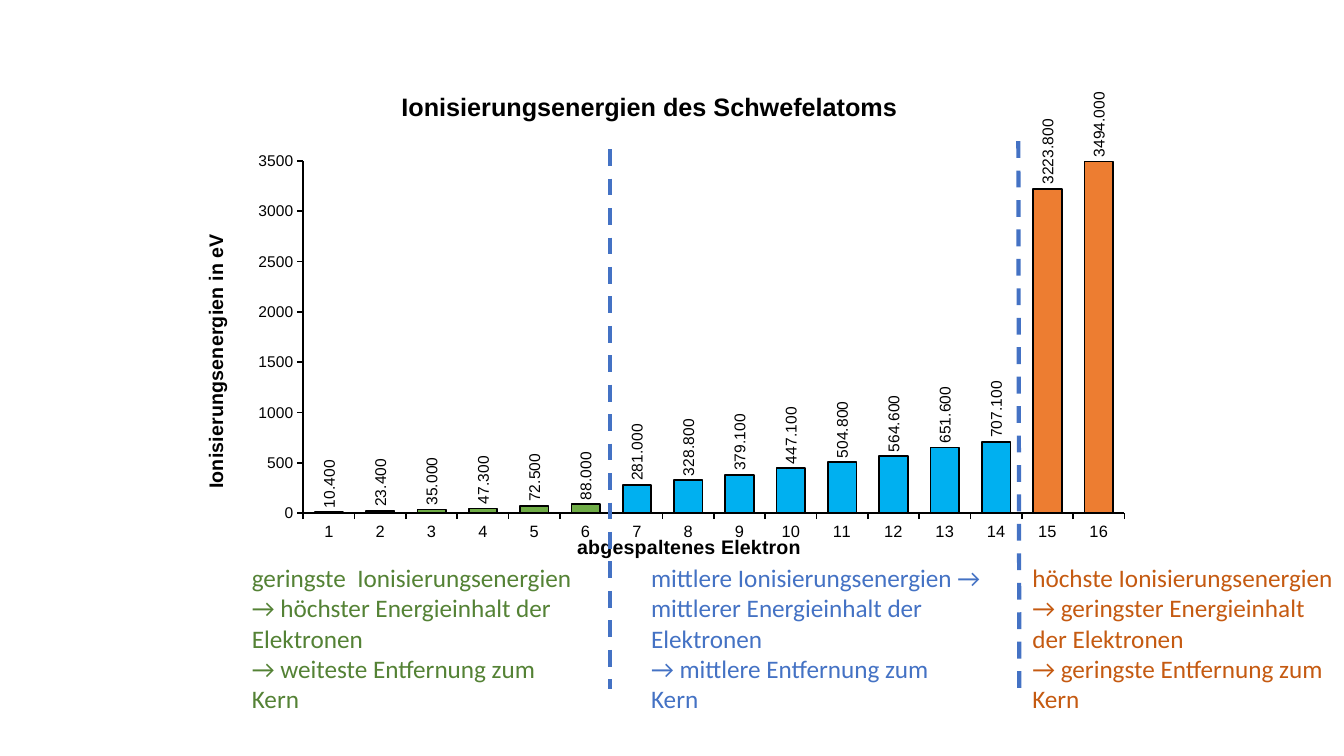
from pptx import Presentation
from pptx.chart.data import CategoryChartData
from pptx.dml.color import RGBColor
from pptx.enum.chart import XL_CHART_TYPE, XL_LABEL_POSITION, XL_TICK_MARK
from pptx.enum.dml import MSO_LINE
from pptx.enum.shapes import MSO_CONNECTOR
from pptx.enum.text import MSO_AUTO_SIZE
from pptx.oxml import parse_xml
from pptx.oxml.ns import nsdecls, qn
from pptx.util import Inches, Pt

COLUMNS = XL_CHART_TYPE.COLUMN_CLUSTERED
OUTSIDE_END = XL_LABEL_POSITION.OUTSIDE_END
TICK_OUT, TICK_NONE = XL_TICK_MARK.OUTSIDE, XL_TICK_MARK.NONE
DASH = MSO_LINE.DASH
STRAIGHT = MSO_CONNECTOR.STRAIGHT
GROW = MSO_AUTO_SIZE.SHAPE_TO_FIT_TEXT

COLORS = {
    "black": "000000", "grey": "969696",
    "low": "70AD47", "mid": "00B0F0", "high": "ED7D31",
    "low text": "548235", "mid text": "4472C4", "high text": "C55A11",
    "divider": "4472C4",
}
ENERGIES = [10.4, 23.4, 35, 47.3, 72.5, 88, 281, 328.8, 379.1, 447.1,
            504.8, 564.6, 651.6, 707.1, 3223.8, 3494]
# Point indexes of each shell; the first column keeps the series colour
SHELLS = {"low": range(1, 6), "mid": range(6, 14), "high": range(14, 16)}
NOTES = [
    (2.4, 3.47, "low text",
     ["geringste  Ionisierungsenergien → höchster Energieinhalt der Elektronen",
      "→ weiteste Entfernung zum Kern"]),
    (6.36, 3.47, "mid text",
     ["mittlere Ionisierungsenergien → mittlerer Energieinhalt der Elektronen",
      "→ mittlere Entfernung zum Kern"]),
    (10.14, 3.19, "high text",
     ["höchste Ionisierungsenergien → geringster Energieinhalt der Elektronen",
      "→ geringste Entfernung zum Kern"]),
]


def rgb(name):
    return RGBColor.from_string(COLORS[name])


def style_font(font, size, color="black", name="Arial", bold=False):
    font.size, font.name, font.bold = Pt(size), name, bold
    font.color.rgb = rgb(color)


def style_line(line, color="black", width=1.23):
    line.color.rgb = rgb(color)
    line.width = Pt(width)


def set_layout(element, index, x, y, w=None, h=None):
    """Place a chart part by fractions of the chart's size."""
    for old in element.findall(qn("c:layout")):
        element.remove(old)
    parts = '<c:layoutTarget val="inner"/>' if w else ""
    parts += '<c:xMode val="edge"/><c:yMode val="edge"/>'
    for tag, value in zip("xywh", (x, y, w, h)):
        if value is not None:
            parts += f'<c:{tag} val="{value}"/>'
    element.insert(index, parse_xml(
        f'<c:layout {nsdecls("c")}><c:manualLayout>{parts}</c:manualLayout></c:layout>'))


def turn_upright(element):
    """Make the text of a chart part read from bottom to top."""
    body = next(element.iter(qn("a:bodyPr")))
    body.set("rot", "-5400000")
    body.set("vert", "horz")


def set_title(title, text, size, x, y):
    title.text_frame.text = text
    style_font(title.text_frame.paragraphs[0].font, size, bold=True)
    set_layout(title._element, 1, x, y)


def style_axis(axis, size):
    axis.has_major_gridlines = False
    axis.major_tick_mark, axis.minor_tick_mark = TICK_OUT, TICK_NONE
    style_font(axis.tick_labels.font, size)
    style_line(axis.format.line)


def style_columns(plot):
    plot.gap_width = 80
    plot.vary_by_categories = False
    series = plot.series[0]
    series.format.fill.solid()
    series.format.fill.fore_color.rgb = rgb("grey")
    style_line(series.format.line)
    for shell, indexes in SHELLS.items():
        for i in indexes:
            fmt = series.points[i].format
            fmt.fill.solid()
            fmt.fill.fore_color.rgb = rgb(shell)
            style_line(fmt.line)
    labels = series.data_labels
    labels.show_value = True
    labels.position = OUTSIDE_END
    labels.number_format, labels.number_format_is_linked = "#.#00", False
    style_font(labels.font, 11.1)
    turn_upright(labels._element)


def add_energy_chart(slide):
    data = CategoryChartData()
    data.categories = [str(n) for n in range(1, len(ENERGIES) + 1)]
    data.add_series("Series 1", ENERGIES)
    chart = slide.shapes.add_chart(COLUMNS, Inches(1.05), Inches(0.68),
                                   Inches(10.31), Inches(5.73), data).chart
    style_font(chart.font, 11.7)
    chart.has_legend = False
    set_title(chart.chart_title, "Ionisierungsenergien des Schwefelatoms", 18, 0.28, 0.03)
    set_layout(chart._chartSpace.chart.plotArea, 0, 0.19, 0.16, 0.79, 0.61)

    electrons, energy = chart.category_axis, chart.value_axis
    style_axis(electrons, 11.7)
    set_title(electrons.axis_title, "abgespaltenes Elektron", 14, 0.45, 0.8)
    style_axis(energy, 11.1)
    set_title(energy.axis_title, "Ionisierungsenergien in eV", 14, 0.09, 0.28)
    turn_upright(energy.axis_title._element)
    energy.minimum_scale, energy.maximum_scale, energy.major_unit = 0, 3500, 500
    energy.tick_labels.number_format = "0"
    energy.tick_labels.number_format_is_linked = False
    style_columns(chart.plots[0])


def add_divider(slide, x1, y1, x2, y2):
    line = slide.shapes.add_connector(STRAIGHT, Inches(x1), Inches(y1), Inches(x2), Inches(y2))
    style_line(line.line, "divider", 3)
    line.line.dash_style = DASH
    line._element.spPr.append(parse_xml(f'<a:effectLst {nsdecls("a")}/>'))


def add_note(slide, left, width, color, lines):
    tf = slide.shapes.add_textbox(Inches(left), Inches(5.53), Inches(width), Inches(1.62)).text_frame
    tf.word_wrap = True
    tf.auto_size = GROW
    tf.text = "\n".join(lines)
    for p in tf.paragraphs:
        style_font(p.font, 18, color, "Calibri")


def main():
    prs = Presentation()
    prs.slide_width, prs.slide_height = Inches(13.33), Inches(7.5)
    slide = prs.slides.add_slide(prs.slide_layouts.get_by_name("Blank"))
    add_energy_chart(slide)
    add_divider(slide, 10.1, 1.4, 10.11, 6.84)
    add_divider(slide, 6.05, 1.48, 6.05, 6.84)
    for note in NOTES:
        add_note(slide, *note)
    prs.save("out.pptx")


if __name__ == "__main__":
    main()
